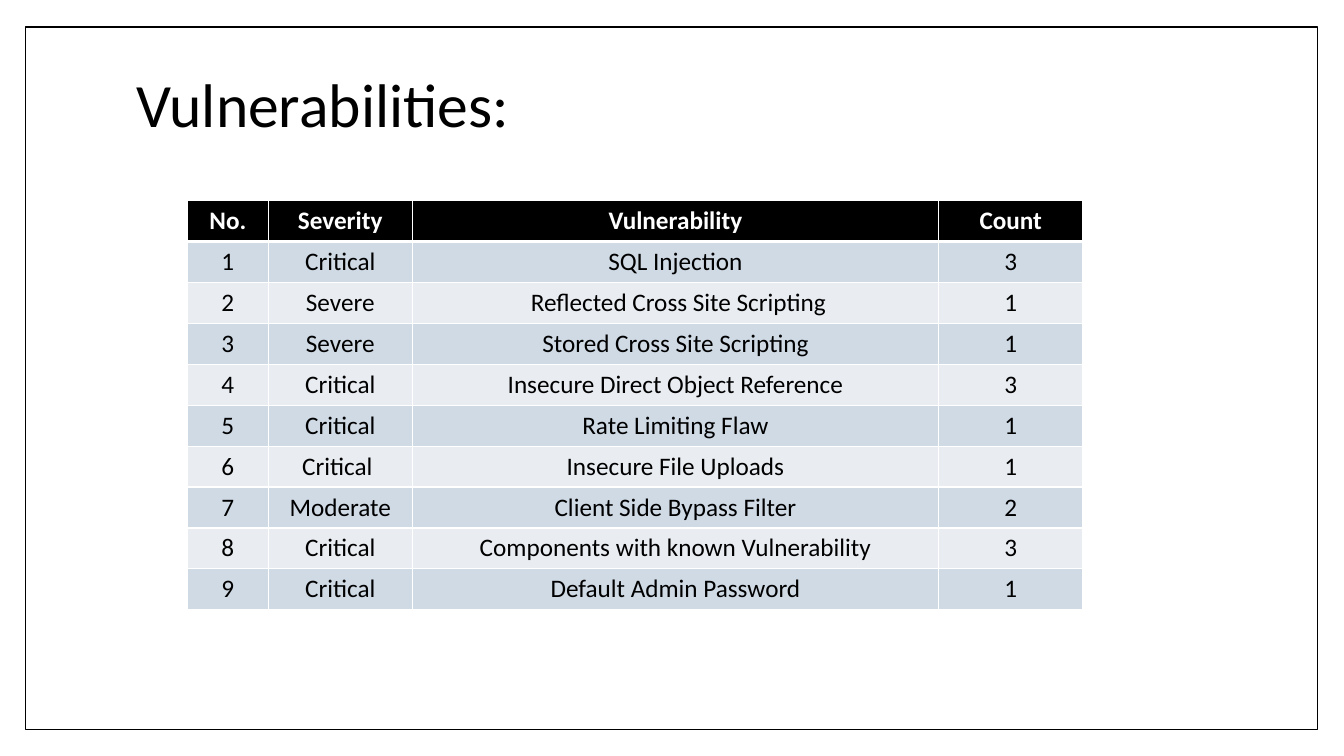
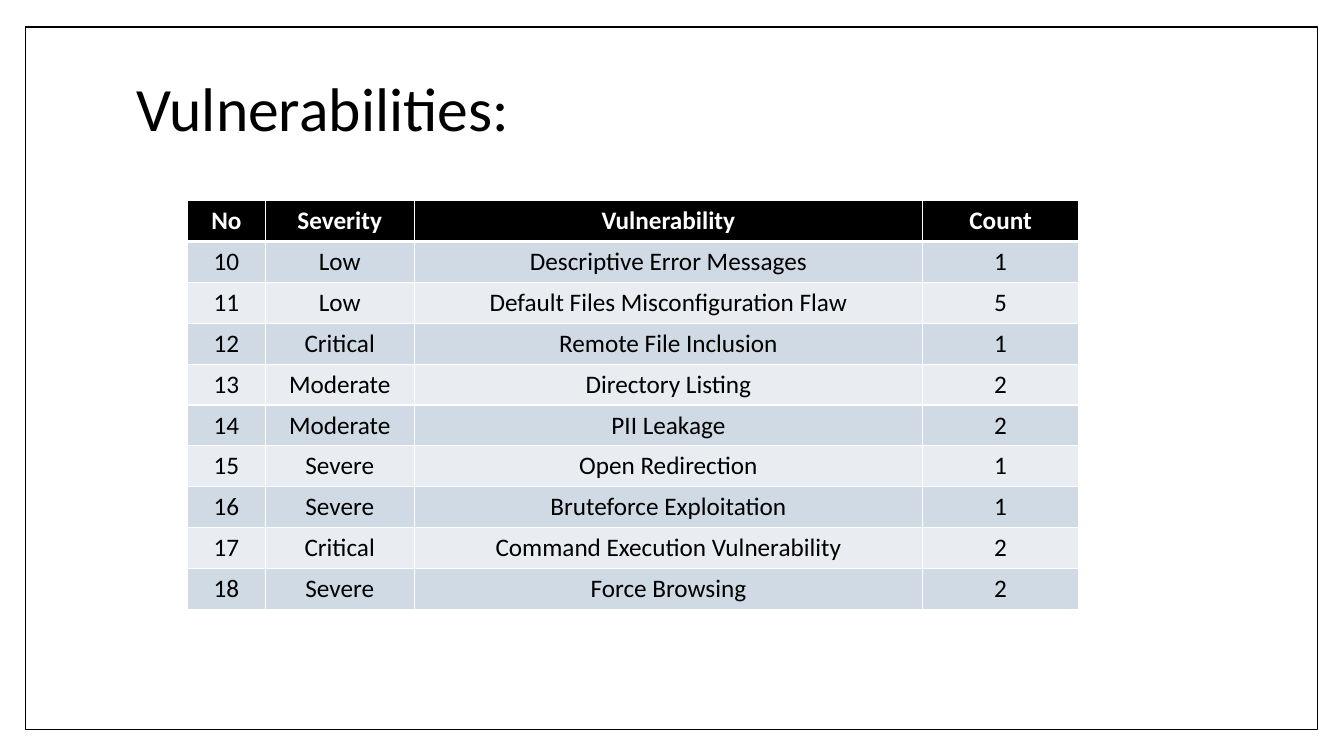
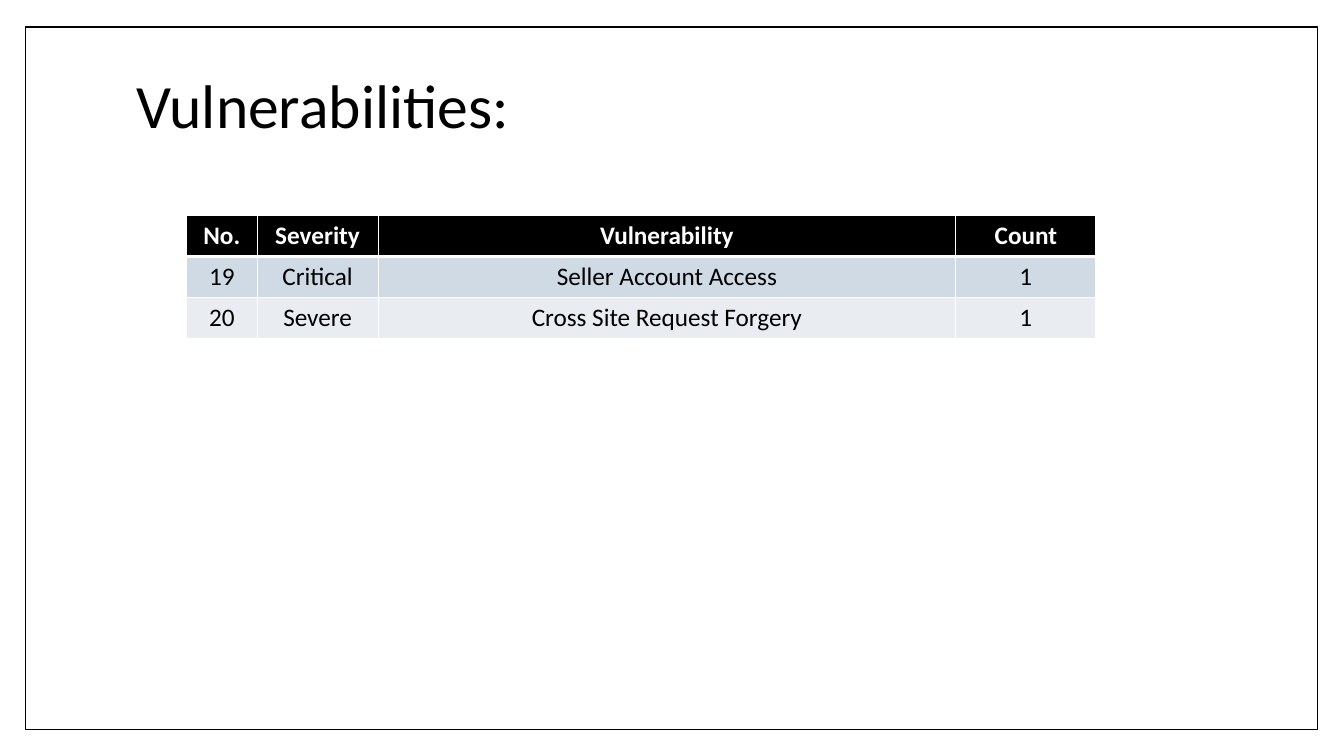
from dataclasses import dataclass

from lxml import etree
from pptx import Presentation
from pptx.dml.color import RGBColor
from pptx.enum.shapes import MSO_SHAPE
from pptx.enum.text import MSO_ANCHOR, MSO_AUTO_SIZE, PP_ALIGN
from pptx.oxml.ns import qn
from pptx.util import Inches, Pt

RECTANGLE = MSO_SHAPE.RECTANGLE
MIDDLE = MSO_ANCHOR.MIDDLE
NO_AUTOFIT = MSO_AUTO_SIZE.NONE
LEFT, CENTER = PP_ALIGN.LEFT, PP_ALIGN.CENTER
TITLE_ONLY = 5

# Content: one entry per slide, lengths in inches
TITLE = "Vulnerabilities:"
SLIDES = [
    {
        "title_height": 0.79,
        "table_at": (1.86, 1.99),
        "table_height": 4.06,
        "columns": (0.8, 1.43, 5.22, 1.43),
        "rows": [
            ("No.", "Severity", "Vulnerability", "Count"),
            ("1", "Critical", "SQL Injection", "3"),
            ("2", "Severe", " Reflected Cross Site Scripting", "1"),
            ("3", "Severe", "Stored Cross Site Scripting", "1"),
            ("4", "Critical", "Insecure Direct Object Reference", "3"),
            ("5", "Critical", "Rate Limiting Flaw", "1"),
            ("6", "Critical ", "Insecure File Uploads", "1"),
            ("7", "Moderate", "Client Side Bypass Filter", "2"),
            ("8", "Critical", "Components with known Vulnerability", "3"),
            ("9", "Critical", "Default Admin Password", "1"),
        ],
    },
    {
        "title_height": 0.87,
        "table_at": (1.86, 1.99),
        "table_height": 4,
        "columns": (0.77, 1.48, 5.04, 1.55),
        "rows": [
            ("No", "Severity", "Vulnerability", "Count"),
            ("10", "Low", "Descriptive Error Messages", "1"),
            ("11", "Low", "Default Files Misconfiguration Flaw", "5"),
            ("12", "Critical", "Remote File Inclusion", "1"),
            ("13", "Moderate", "Directory Listing", "2"),
            ("14", "Moderate", "PII Leakage", "2"),
            ("15", "Severe", "Open Redirection", "1"),
            ("16", "Severe", "Bruteforce Exploitation", "1"),
            ("17", "Critical", "Command Execution Vulnerability", "2"),
            ("18", "Severe", "Force Browsing", "2"),
        ],
    },
    {
        "title_height": 0.81,
        "table_at": (1.85, 2.14),
        "table_height": 1.2,
        "columns": (0.7, 1.2, 5.73, 1.39),
        "rows": [
            ("No.", "Severity", "Vulnerability", "Count"),
            ("19", "Critical", "Seller Account Access", "1"),
            ("20", "Severe", "Cross Site Request Forgery", "1"),
        ],
    },
]


@dataclass(frozen=True)
class Theme:
    font: str = "Calibri"
    title_size: int = 44
    table_size: int = 18
    black: str = "000000"
    white: str = "FFFFFF"
    bands: tuple = ("CFDAE5", "E9EDF2")
    thin: int = 1
    thick: int = 3


THEME = Theme()


def style_text(paragraph, size, color, alignment, bold=False):
    paragraph.alignment = alignment
    for run in paragraph.runs:
        font = run.font
        font.name, font.size, font.bold = THEME.font, Pt(size), bold
        font.color.rgb = RGBColor.from_string(color)


def add_frame(slide):
    """Draw the page frame behind everything else on the slide."""
    frame = slide.shapes.add_shape(
        RECTANGLE, Inches(0.25), Inches(0.27), Inches(12.82), Inches(6.97))
    frame.shadow.inherit = False
    frame.fill.solid()
    frame.fill.fore_color.rgb = RGBColor.from_string(THEME.white)
    frame.line.color.rgb = RGBColor.from_string(THEME.black)
    frame.line.width = Pt(THEME.thin)
    slide.shapes.element.insert(2, frame.element)


def add_title(slide, height):
    title = slide.shapes.title
    title.left, title.top = Inches(1.25), Inches(0.67)
    title.width, title.height = Inches(10.8), Inches(height)
    text_frame = title.text_frame
    text_frame.text = TITLE
    text_frame.auto_size = NO_AUTOFIT
    text_frame.vertical_anchor = MIDDLE
    paragraph = text_frame.paragraphs[0]
    paragraph.line_spacing = 0.9
    style_text(paragraph, THEME.title_size, THEME.black, LEFT)


def set_borders(cell, top, bottom):
    """Give a cell white borders; they must precede its fill."""
    properties = cell._tc.get_or_add_tcPr()
    widths = {"a:lnL": THEME.thin, "a:lnR": THEME.thin, "a:lnT": top, "a:lnB": bottom}
    for position, (tag, width) in enumerate(widths.items()):
        line = etree.Element(qn(tag), w=str(Pt(width)))
        fill = etree.SubElement(line, qn("a:solidFill"))
        etree.SubElement(fill, qn("a:srgbClr"), val=THEME.white)
        properties.insert(position, line)


def style_cell(cell, row_index):
    is_header = row_index == 0
    fill = THEME.black if is_header else THEME.bands[(row_index - 1) % 2]
    cell.fill.solid()
    cell.fill.fore_color.rgb = RGBColor.from_string(fill)
    style_text(cell.text_frame.paragraphs[0], THEME.table_size,
               THEME.white if is_header else THEME.black, CENTER, is_header)
    set_borders(cell, top=THEME.thick if row_index == 1 else THEME.thin,
                bottom=THEME.thick if is_header else THEME.thin)


def add_vulnerability_table(slide, content):
    rows, columns = content["rows"], content["columns"]
    left, top = content["table_at"]
    table = slide.shapes.add_table(
        len(rows), len(columns), Inches(left), Inches(top),
        Inches(sum(columns)), Inches(content["table_height"])).table
    for column, width in zip(table.columns, columns):
        column.width = Inches(width)
    for row_index, row in enumerate(rows):
        for column_index, text in enumerate(row):
            cell = table.cell(row_index, column_index)
            cell.text = text
            style_cell(cell, row_index)


def main():
    presentation = Presentation()
    presentation.slide_width, presentation.slide_height = Inches(13.33), Inches(7.5)
    layout = presentation.slide_layouts[TITLE_ONLY]
    for content in SLIDES:
        slide = presentation.slides.add_slide(layout)
        add_frame(slide)
        add_title(slide, content["title_height"])
        add_vulnerability_table(slide, content)
    presentation.save("out.pptx")


if __name__ == "__main__":
    main()
